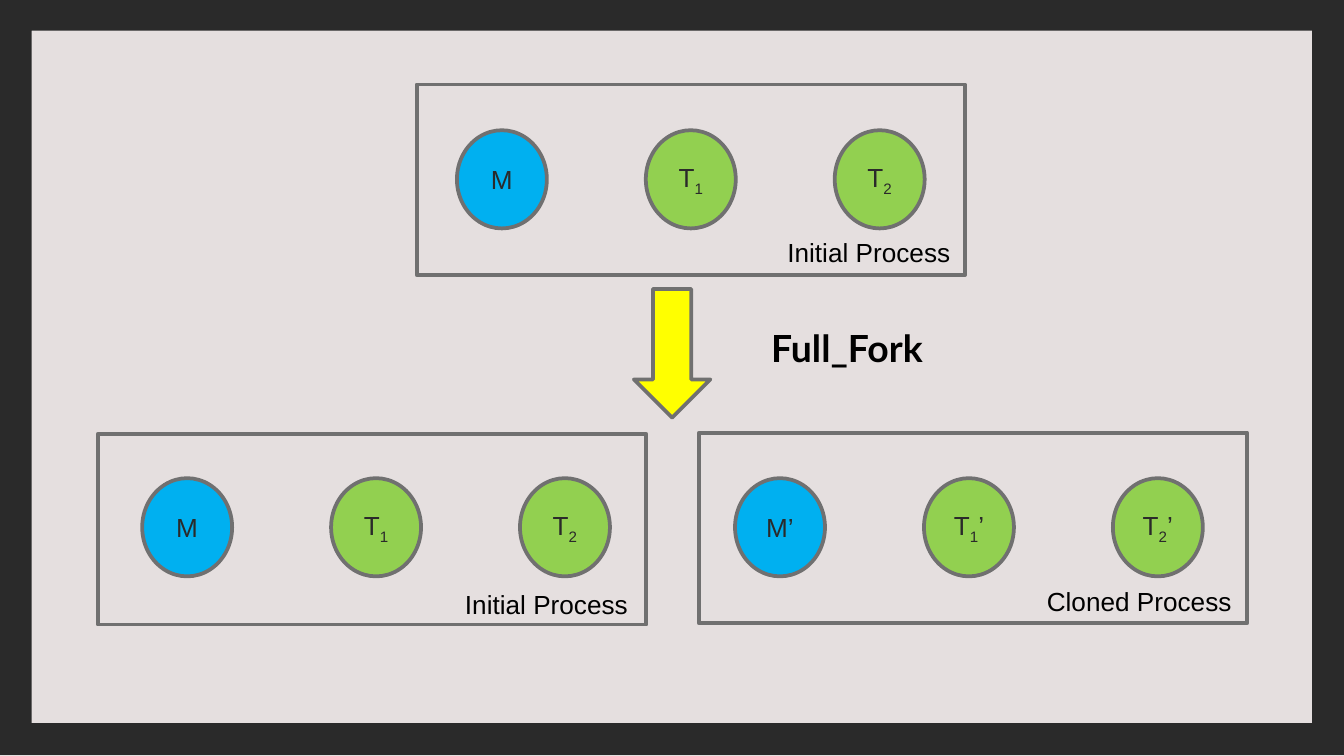
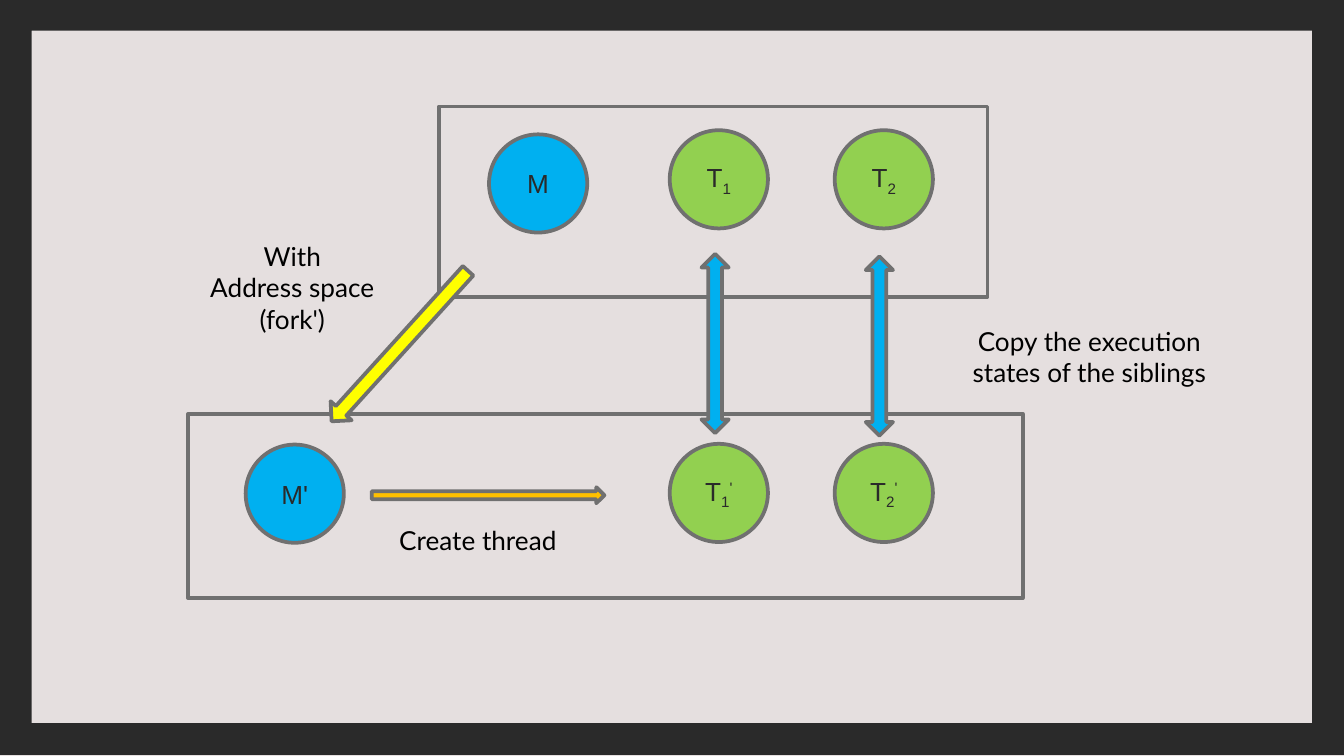
from pptx import Presentation
from pptx.dml.color import RGBColor
from pptx.enum.shapes import MSO_SHAPE as SHAPE
from pptx.enum.text import MSO_ANCHOR as ANCHOR, MSO_AUTO_SIZE as AUTO_SIZE, PP_ALIGN as ALIGN
from pptx.util import Pt

BACKGROUND = "E5DFDF"
DARK = "2A2A2A"
OUTLINE = "707070"
BLACK = "000000"
BLUE = "00B0F0"
GREEN = "92D050"
YELLOW = "FFFF00"
ORANGE = "FFC000"

SLIDE_WIDTH, SLIDE_HEIGHT = 720, 405
PROCESS_SIZE = (293.8, 102.2)
OVAL_SIZE = (48.2, 52.6)
CIRCLE_SIZE = (52.6, 52.6)
THREAD_PITCH = 101.2
SUBSCRIPT, SUPERSCRIPT = -25000, 30000


def set_color(color_format, color):
    color_format.rgb = RGBColor.from_string(color)


def add_figure(slide, kind, box, fill=None, line=OUTLINE, rotation=0):
    shape = slide.shapes.add_shape(kind, *map(Pt, box))
    shape.shadow.inherit = False
    shape.rotation = rotation
    if fill:
        shape.fill.solid()
        set_color(shape.fill.fore_color, fill)
    else:
        shape.fill.background()
    if line:
        set_color(shape.line.color, line)
        shape.line.width = Pt(2)
    else:
        shape.line.fill.background()
    return shape


def style_paragraph(paragraph, size, font, color, align, bold=False):
    paragraph.alignment = align
    paragraph.font.size = Pt(size)
    paragraph.font.name = font
    paragraph.font.bold = bold
    set_color(paragraph.font.color, color)


def add_label(slide, box, lines, size=14, font="Lato", align=ALIGN.CENTER, bold=False, wrap=True):
    frame = slide.shapes.add_textbox(*map(Pt, box)).text_frame
    frame.word_wrap = wrap
    frame.auto_size = AUTO_SIZE.SHAPE_TO_FIT_TEXT
    for index, line in enumerate(lines):
        paragraph = frame.add_paragraph() if index else frame.paragraphs[0]
        paragraph.add_run().text = line
        style_paragraph(paragraph, size, font, BLACK, align, bold)


def add_thread(slide, left, top, size, name, number="", prime="", prime_baseline=0):
    fill = GREEN if number else BLUE
    frame = add_figure(slide, SHAPE.OVAL, (left, top, *size), fill).text_frame
    frame.margin_left = frame.margin_right = frame.margin_top = frame.margin_bottom = 0
    frame.vertical_anchor = ANCHOR.MIDDLE
    paragraph = frame.paragraphs[0]
    style_paragraph(paragraph, 14, "Arial", DARK, ALIGN.CENTER)
    for text, baseline in ((name, 0), (number, SUBSCRIPT), (prime, prime_baseline)):
        if text:
            run = paragraph.add_run()
            run.text = text
            if baseline:
                run.font._element.set("baseline", str(baseline))


def add_process(slide, corner, first_thread, label_box, label, prime=""):
    left, top = first_thread
    for index, (name, number) in enumerate((("M", ""), ("T", "1"), ("T", "2"))):
        add_thread(slide, left + index * THREAD_PITCH, top, OVAL_SIZE, name, number, prime)
    add_figure(slide, SHAPE.RECTANGLE, (*corner, *PROCESS_SIZE))
    add_label(slide, label_box, [label], font="Arial", align=ALIGN.LEFT, wrap=False)


def add_framed_slide(presentation):
    slide = presentation.slides.add_slide(presentation.slide_layouts[6])
    slide.background.fill.solid()
    set_color(slide.background.fill.fore_color, BACKGROUND)
    border = add_figure(slide, SHAPE.FRAME, (0, -0.5, SLIDE_WIDTH, SLIDE_HEIGHT), DARK, line=None)
    border.adjustments[0] = 0.042
    return slide


def build_full_fork(presentation):
    slide = add_framed_slide(presentation)
    add_process(slide, (223.2, 45.2), (244.8, 69.8), (414.7, 123.1, 102.2, 24.2), "Initial Process")
    add_figure(slide, SHAPE.DOWN_ARROW, (339.6, 154.8, 41, 69), YELLOW)
    add_process(slide, (52.4, 232.4), (76.2, 256.2), (242, 311.8, 102.2, 24.2), "Initial Process")
    add_process(slide, (374.4, 231.8), (393.8, 256.2), (553.7, 310.3, 114.5, 24.2),
                "Cloned Process", "’")
    add_label(slide, (406, 170.6, 134.6, 31.7), ["Full_Fork"], 20, align=ALIGN.LEFT, bold=True)


def build_thread_copy(presentation):
    slide = add_framed_slide(presentation)
    add_figure(slide, SHAPE.RECTANGLE, (100.8, 221.8, 447.2, 98.6))
    add_figure(slide, SHAPE.RECTANGLE, (235.2, 57, *PROCESS_SIZE))
    add_thread(slide, 262, 72, CIRCLE_SIZE, "M")
    add_thread(slide, 131.6, 238.2, CIRCLE_SIZE, "M'")
    for number, left, arrow_left, arrow_top in (("1", 358.8, 375.8, 136), ("2", 447.2, 463.8, 137.4)):
        add_thread(slide, left, 69.8, CIRCLE_SIZE, "T", number)
        add_thread(slide, left, 237.8, CIRCLE_SIZE, "T", number, "'", SUPERSCRIPT)
        add_figure(slide, SHAPE.UP_DOWN_ARROW, (arrow_left, arrow_top, 14.6, 96), BLUE)
    add_figure(slide, SHAPE.DOWN_ARROW, (206.6, 131, 15.2, 108.8), YELLOW, rotation=42.2)
    add_figure(slide, SHAPE.DOWN_ARROW, (257.2, 203, 8.6, 124.6), ORANGE, rotation=270)
    add_label(slide, (100.8, 125.3, 111.6, 58.3), ["With", "Address space", "(fork')"])
    add_label(slide, (200.2, 277.2, 111.6, 24.5), ["Create thread"])
    add_label(slide, (506.2, 170.6, 154.8, 41), ["Copy the execution states of the siblings"])


def main():
    presentation = Presentation()
    presentation.slide_width = Pt(SLIDE_WIDTH)
    presentation.slide_height = Pt(SLIDE_HEIGHT)
    build_full_fork(presentation)
    build_thread_copy(presentation)
    presentation.save("out.pptx")


if __name__ == "__main__":
    main()
